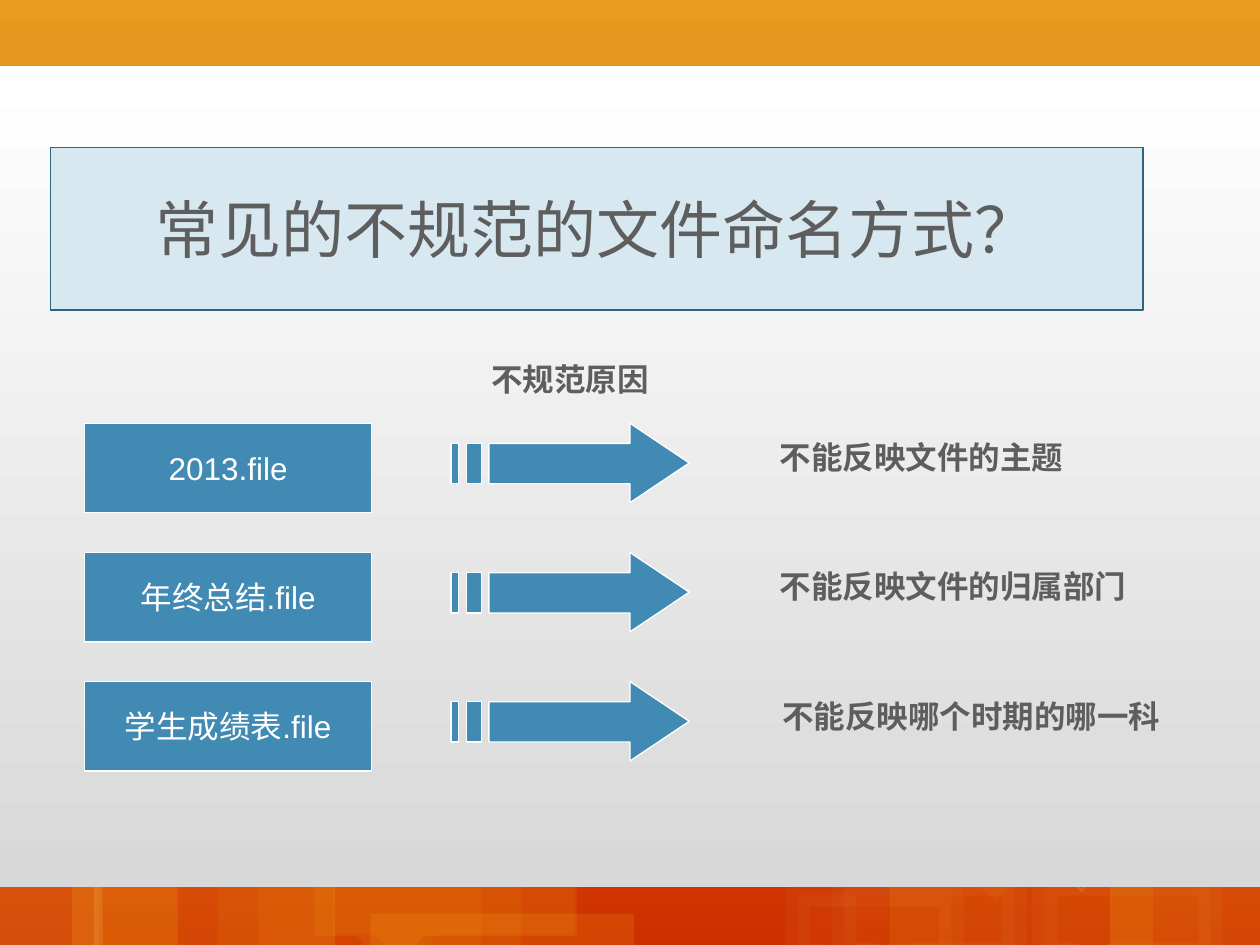
import typing

import lxml.etree
import pptx
import pptx.dml.color
import pptx.enum.lang
import pptx.enum.shapes
import pptx.enum.text
import pptx.oxml
import pptx.oxml.ns
import pptx.util

COLS, ROWS = 100, 75
UNIT = pptx.util.Inches(0.1)
SHAPE = pptx.enum.shapes.MSO_SHAPE
ALIGN = pptx.enum.text.PP_ALIGN
FIT = pptx.enum.text.MSO_AUTO_SIZE
HEX = {
    "top": "E29121", "base": "CE3000", "white": "FFFFFF", "grey": "D8D8D8",
    "amber": "FDC51B", "cream": "FFE181", "pale": "FEEAAC",
    "cloud": "D8E8F1", "edge": "2D6483", "blue": "418AB3", "ink": "5E5E5E",
}


class Box(typing.NamedTuple):
    """Left, top, width and height in grid columns and rows."""
    x: float
    y: float
    w: float
    h: float

    def emu(self) -> list[int]:
        return [round(v * UNIT) for v in self]


class Edge(typing.NamedTuple):
    hue: str
    size: float
    alpha: int = 100


class Tile(typing.NamedTuple):
    box: Box
    hue: str
    alpha: int
    edge: typing.Optional[Edge] = None
    tip: tuple[float, float] = (-0.2, 0.65)


class Case(typing.NamedTuple):
    name: str
    fault: str
    x: float
    w: float


FAINT = Edge("pale", 14, 3)
WIDE = Edge("cream", 5, 14)
FINE = Edge("cream", 1, 14)
RIM = Edge("white", 0.75)
TILES = [
    Tile(Box(26.5, 53.3, 19.1, 20.9), "amber", 7, tip=(-0.14, 0.64)),
    Tile(Box(24.9, 53.4, 20.9, 20.9), "amber", 10),
    Tile(Box(5.7, 62.7, 20.9, 13.1), "amber", 16),
    Tile(Box(-0.4, -0.5, 100.4, 20.9), "amber", 20, tip=(-0.2, 0.45)),
    Tile(Box(29.4, 72.5, 20.9, 20.9), "amber", 14),
    Tile(Box(88.1, 56.2, 12.4, 19.2), "amber", 16, tip=(0.05, 0.6)),
    Tile(Box(72.8, 47.7, 20.9, 20.9), "amber", 5),
    Tile(Box(-0.7, 54.1, 14.8, 20.9), "amber", 16, tip=(0, 0.61)),
    Tile(Box(20.5, 69.2, 20.9, 20.9), "amber", 7),
    Tile(Box(70.6, 56.2, 20.9, 20.9), "amber", 10),
    Tile(Box(63.3, 71, 12.2, 4.9), "amber", 5, FAINT),
    Tile(Box(67, 70.1, 13.5, 5.7), "amber", 5, FAINT),
    Tile(Box(82.9, 70.1, 13.2, 5.7), "amber", 5, FAINT),
    Tile(Box(-0.7, 67.5, 8.5, 8.2), "cream", 5, WIDE),
    Tile(Box(83.4, 61.4, 8.1, 8.1), "cream", 5, FINE),
    Tile(Box(17.3, 59.7, 20.9, 16.1), "amber", 7),
]
CASES = [
    Case("2013.file", "不能反映文件的主题", 60.9, 24.5),
    Case("年终总结.file", "不能反映文件的归属部门", 60.9, 29.5),
    Case("学生成绩表.file", "不能反映哪个时期的哪一科", 61.1, 32),
]
FIRST, PITCH = 33.6, 10.25


def rgb(hue: str) -> pptx.dml.color.RGBColor:
    return pptx.dml.color.RGBColor.from_string(HEX[hue])


def fade(shape, share: int, *tags: str) -> None:
    """Set the opacity, in percent, of the colour found under the tags."""
    node = shape._element.spPr
    for tag in (*tags, "a:solidFill", "a:srgbClr"):
        node = node.find(pptx.oxml.ns.qn(tag))
    lxml.etree.SubElement(node, pptx.oxml.ns.qn("a:alpha"), val=str(share * 1000))


def paint(shape, hue: str, edge: typing.Optional[Edge] = None) -> None:
    shape.shadow.inherit = False
    shape.fill.solid()
    shape.fill.fore_color.rgb = rgb(hue)
    if edge is None:
        shape.line.fill.background()
        return
    shape.line.color.rgb = rgb(edge.hue)
    shape.line.width = pptx.util.Pt(edge.size)
    if edge.alpha < 100:
        fade(shape, edge.alpha, "a:ln")


def shade(fill, start: str, end: str) -> None:
    """Grade a fill from top to bottom."""
    fill.gradient()
    fill.gradient_angle = 270
    for stop, hue, spot in zip(fill.gradient_stops, (start, end), (0, 1)):
        stop.color.rgb = rgb(hue)
        stop.position = spot


def write(shape, text: str, hue: str, size: float = 18, font: str = "Arial",
          bold: bool = False, align=ALIGN.CENTER) -> None:
    para = shape.text_frame.paragraphs[0]
    para.alignment = align
    run = para.add_run()
    run.text = text
    run.font.name = font
    run.font.size = pptx.util.Pt(size)
    run.font.bold = bold
    run.font.color.rgb = rgb(hue)
    run.font.language_id = pptx.enum.lang.MSO_LANGUAGE_ID.SIMPLIFIED_CHINESE


def label(slide, box: Box, text: str) -> None:
    shape = slide.shapes.add_textbox(*box.emu())
    shape.text_frame.word_wrap = False
    shape.text_frame.auto_size = FIT.SHAPE_TO_FIT_TEXT
    write(shape, text, "ink", bold=True, align=ALIGN.LEFT)


def arrow(slide, x: float, y: float) -> None:
    """Draw a right arrow that trails two bars."""
    head = [(14.2, 0), (14.2, 1.6), (3, 1.6), (3, 4.8),
            (14.2, 4.8), (14.2, 6.3), (18.9, 3.15)]
    bars = [[(a, 1.6), (a, 4.8), (b, 4.8), (b, 1.6)]
            for a, b in ((1.2, 2.4), (0, 0.6))]
    pen = slide.shapes.build_freeform(*[v * 100 for v in head[0]], scale=UNIT / 100)
    for part in (head, *bars):
        dots = [(a * 100, b * 100) for a, b in part]
        if part is not head:
            pen.move_to(*dots[0])
        pen.add_line_segments(dots[1:], close=True)
    shape = pen.convert_to_shape(round(x * UNIT), round(y * UNIT))
    paint(shape, "blue", RIM)


def scene(slide) -> None:
    """Lay the tiled backdrop and the pale panel over it."""
    shade(slide.background.fill, "top", "base")
    for tile in TILES:
        shape = slide.shapes.add_shape(SHAPE.RECTANGULAR_CALLOUT, *tile.box.emu())
        shape.adjustments[0], shape.adjustments[1] = tile.tip
        paint(shape, tile.hue, tile.edge)
        fade(shape, tile.alpha)
    panel = slide.shapes.add_shape(SHAPE.RECTANGLE, *Box(0, 5.2, COLS, 65.2).emu())
    paint(panel, "white")
    shade(panel.fill, "white", "grey")


def cloud(slide, text: str) -> None:
    """Turn the title placeholder into a thought cloud above the panel."""
    title = slide.shapes.title
    title.left, title.top, title.width, title.height = Box(4, 11.7, 86.7, 12.9).emu()
    title._element.spPr.append(pptx.oxml.parse_xml(
        f'<a:prstGeom {pptx.oxml.ns.nsdecls("a")} prst="cloudCallout"><a:avLst>'
        '<a:gd name="adj1" fmla="val -45200"/><a:gd name="adj2" fmla="val -88200"/>'
        '</a:avLst></a:prstGeom>'))
    paint(title, "cloud", Edge("edge", 1))
    title.text_frame.word_wrap = True
    title.text_frame.auto_size = FIT.NONE
    title.text_frame.vertical_anchor = pptx.enum.text.MSO_ANCHOR.MIDDLE
    write(title, text, "ink", size=36, font="Calibri")
    slide.shapes._spTree.append(title._element)


def case(slide, item: Case, y: float) -> None:
    card = slide.shapes.add_shape(SHAPE.RECTANGLE, *Box(6.7, y, 22.8, 7.1).emu())
    paint(card, "blue", RIM)
    card.text_frame.word_wrap = False
    card.text_frame.vertical_anchor = pptx.enum.text.MSO_ANCHOR.MIDDLE
    write(card, item.name, "white")
    arrow(slide, 35.8, y)
    label(slide, Box(item.x, y + 0.7, item.w, 4), item.fault)


def main() -> None:
    deck = pptx.Presentation()
    deck.slide_width, deck.slide_height = COLS * UNIT, ROWS * UNIT
    slide = deck.slides.add_slide(deck.slide_layouts[5])
    scene(slide)
    cloud(slide, "常见的不规范的文件命名方式？")
    label(slide, Box(38, 28.1, 14.5, 4), "不规范原因")
    for row, item in enumerate(CASES):
        case(slide, item, FIRST + row * PITCH)
    deck.save("out.pptx")


if __name__ == "__main__":
    main()
